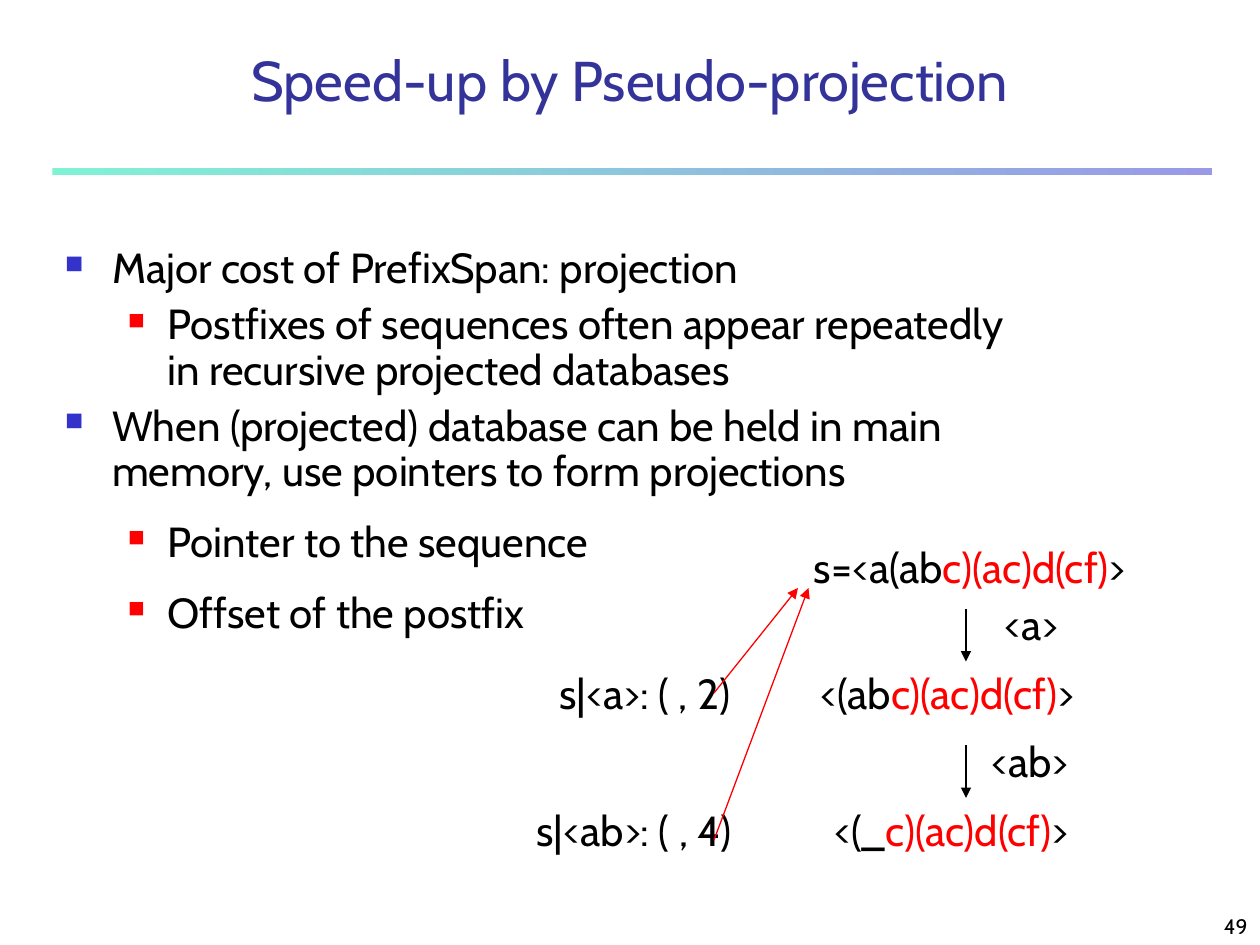
from typing import NamedTuple

from lxml.etree import SubElement
from pptx import Presentation
from pptx.dml.color import RGBColor
from pptx.enum.shapes import MSO_CONNECTOR, MSO_SHAPE
from pptx.enum.text import MSO_ANCHOR, MSO_AUTO_SIZE, PP_ALIGN
from pptx.oxml.ns import qn
from pptx.util import Pt

BLACK = RGBColor(0, 0, 0)
RED = RGBColor(255, 0, 0)
BLUE = RGBColor(0x33, 0x33, 0xCC)
NAVY = RGBColor(0x33, 0x33, 0x99)
MINT = RGBColor(0x80, 0xF2, 0xD4)
LILAC = RGBColor(0x99, 0x99, 0xE6)
FONT = "Cabin"
TAIL = "c)(ac)d(cf)"


class Box(NamedTuple):
    left: float
    top: float
    width: float
    height: float


class Label(NamedTuple):
    box: Box
    runs: list


class Arrow(NamedTuple):
    start: tuple
    end: tuple
    color: RGBColor


class Level(NamedTuple):
    margin: float
    hang: float
    color: RGBColor
    scale: int


class Item(NamedTuple):
    text: str
    level: int
    pitch: float


LEVELS = [Level(27, 27, BLUE, 60), Level(58.5, 22.5, RED, 55)]

ITEMS = [
    Item("Major cost of PrefixSpan: projection", 0, 0.9),
    Item("Postfixes of sequences often appear repeatedly in recursive projected databases", 1, 0.9),
    Item("When (projected) database can be held in main memory, use pointers to form projections", 0, 0.9),
    Item("Pointer to the sequence", 1, 1.2),
    Item("Offset of the postfix", 1, 1.2),
]

LABELS = [
    Label(Box(458, 306, 222, 36), [("s=<a(ab", BLACK), (TAIL, RED), (">", BLACK)]),
    Label(Box(462, 378, 184, 36), [("<(ab", BLACK), (TAIL, RED), (">", BLACK)]),
    Label(Box(469.5, 456, 170, 36), [("<(_", BLACK), (TAIL, RED), (">", BLACK)]),
    Label(Box(567, 338.5, 55, 36), [("<a>", BLACK)]),
    Label(Box(559.5, 417, 70, 36), [("<ab>", BLACK)]),
    Label(Box(312.5, 378, 140, 36), [("s|<a>: ( , 2)", BLACK)]),
    Label(Box(299.5, 456, 154, 36), [("s|<ab>: ( , 4)", BLACK)]),
]

ARROWS = [
    Arrow((552, 348), (552, 378), BLACK),
    Arrow((552, 426), (552, 456), BLACK),
    Arrow((408, 396), (456, 336), RED),
    Arrow((408, 480), (462, 336), RED),
]


def apply(target, values: dict) -> None:
    for name, value in values.items():
        setattr(target, name, value)


def add_frame(slide, box: Box, **format):
    frame = slide.shapes.add_textbox(*map(Pt, box)).text_frame
    apply(frame, {"word_wrap": True, **format})
    return frame


def add_run(para, text: str, size: float, color: RGBColor) -> None:
    run = para.add_run()
    run.text = text
    apply(run.font, {"name": FONT, "size": Pt(size)})
    run.font.color.rgb = color


def add_line(slide, box: Box, text: str, size: float, color: RGBColor, align, anchor) -> None:
    para = add_frame(slide, box, vertical_anchor=anchor).paragraphs[0]
    para.alignment = align
    add_run(para, text, size, color)


def add_label(slide, label: Label) -> None:
    frame = add_frame(slide, label.box, word_wrap=False, auto_size=MSO_AUTO_SIZE.SHAPE_TO_FIT_TEXT)
    for text, color in label.runs:
        add_run(frame.paragraphs[0], text, 24, color)


def add_bullet(para, level: Level) -> None:
    props = para._p.get_or_add_pPr()
    props.set("marL", str(Pt(level.margin)))
    props.set("indent", str(-Pt(level.hang)))
    tint = SubElement(props, qn("a:buClr"))
    SubElement(tint, qn("a:srgbClr")).set("val", str(level.color))
    SubElement(props, qn("a:buSzPct")).set("val", str(level.scale * 1000))
    SubElement(props, qn("a:buChar")).set("char", "■")


def add_body(slide, box: Box, items: list) -> None:
    frame = add_frame(slide, box)
    for index, item in enumerate(items):
        para = frame.add_paragraph() if index else frame.paragraphs[0]
        add_bullet(para, LEVELS[item.level])
        apply(para, {
            "level": item.level,
            "line_spacing": item.pitch,
            "space_before": Pt(6 if index else 0),
        })
        add_run(para, item.text, 24, BLACK)


def add_arrow(slide, arrow: Arrow) -> None:
    ends = map(Pt, arrow.start + arrow.end)
    line = slide.shapes.add_connector(MSO_CONNECTOR.STRAIGHT, *ends)
    line.line.color.rgb = arrow.color
    line.line.width = Pt(0.75)
    SubElement(line.line._get_or_add_ln(), qn("a:tailEnd")).set("type", "triangle")
    SubElement(line._element.spPr, qn("a:effectLst"))


def add_rule(slide, box: Box) -> None:
    rule = slide.shapes.add_shape(MSO_SHAPE.RECTANGLE, *map(Pt, box))
    rule.shadow.inherit = False
    rule.line.fill.background()
    rule.fill.gradient()
    rule.fill.gradient_angle = 0
    for stop, color in zip(rule.fill.gradient_stops, (MINT, LILAC)):
        stop.color.rgb = color


def main() -> None:
    deck = Presentation()
    apply(deck, {"slide_width": Pt(720), "slide_height": Pt(540)})
    slide = deck.slides.add_slide(deck.slide_layouts[6])
    add_rule(slide, Box(30, 96, 662.4, 4))
    add_body(slide, Box(30, 138, 552, 360), ITEMS)
    for label in LABELS:
        add_label(slide, label)
    for arrow in ARROWS:
        add_arrow(slide, arrow)
    add_line(slide, Box(0, 0, 720, 90), "Speed-up by Pseudo-projection", 32, NAVY,
             PP_ALIGN.CENTER, MSO_ANCHOR.MIDDLE)
    add_line(slide, Box(570, 510, 150, 30), "49", 12, BLACK, PP_ALIGN.RIGHT, MSO_ANCHOR.BOTTOM)
    deck.save("out.pptx")


if __name__ == "__main__":
    main()
